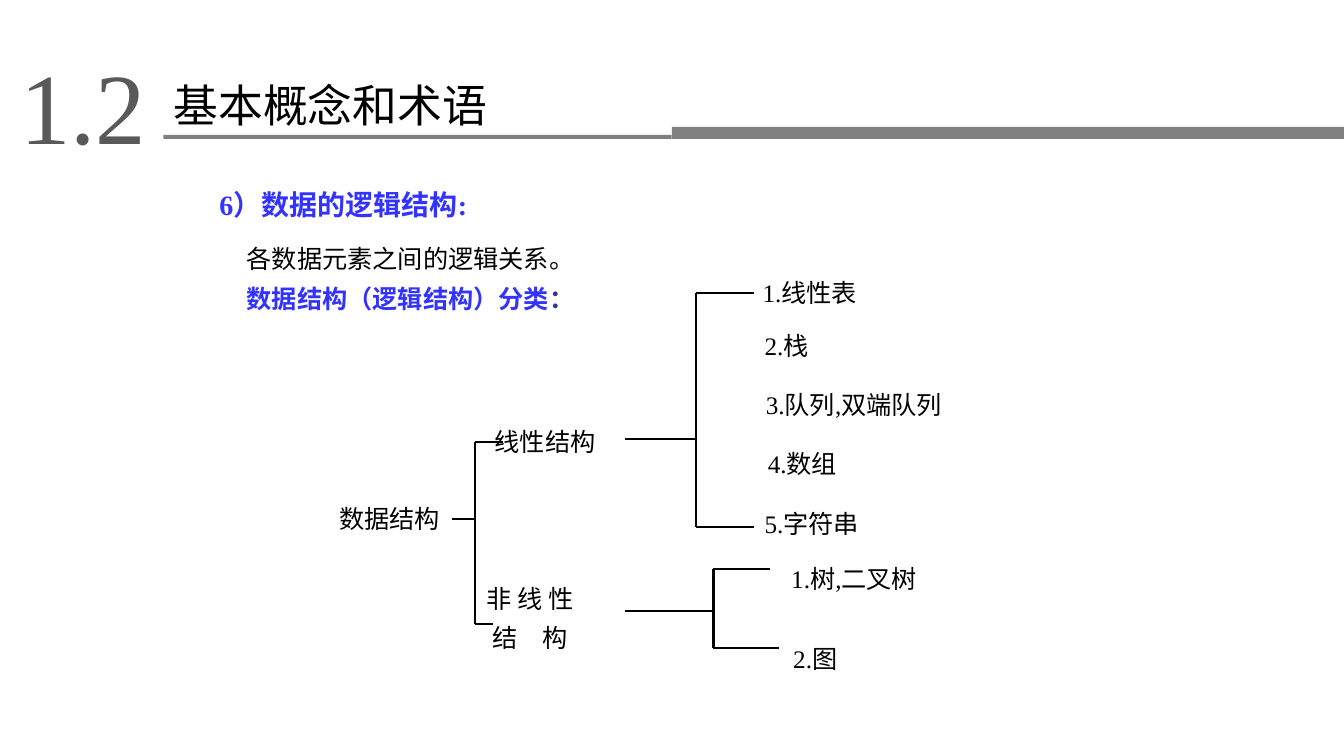
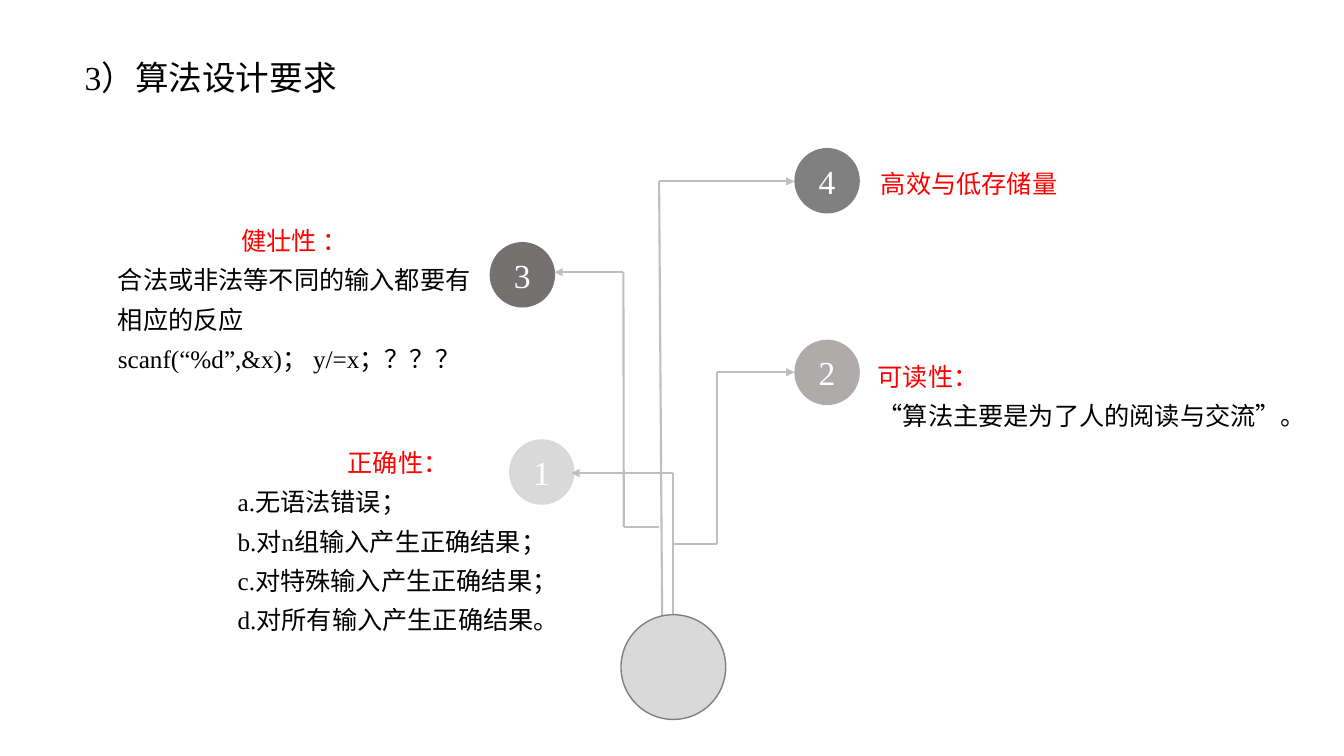
from dataclasses import dataclass
from itertools import pairwise

from lxml import etree
from pptx import Presentation
from pptx.dml.color import RGBColor
from pptx.enum.shapes import MSO_CONNECTOR, MSO_SHAPE
from pptx.enum.text import MSO_ANCHOR, MSO_AUTO_SIZE, PP_ALIGN
from pptx.oxml.ns import qn
from pptx.util import Cm, Pt

STRAIGHT = MSO_CONNECTOR.STRAIGHT
RECTANGLE, OVAL = MSO_SHAPE.RECTANGLE, MSO_SHAPE.OVAL
TOP, MIDDLE = MSO_ANCHOR.TOP, MSO_ANCHOR.MIDDLE
NO_FIT = MSO_AUTO_SIZE.NONE
LEFT, CENTER = PP_ALIGN.LEFT, PP_ALIGN.CENTER

FONT = "Times New Roman"
COLORS = {
    "ink": "000000",
    "blue": "3333FF",
    "navy": "333399",
    "red": "FF0000",
    "white": "FFFFFF",
    "number": "595959",
    "bar": "808080",
    "path": "BFBFBF",
    "pale": "D9D9D9",
    "warm": "AFABAB",
    "dark": "767171",
}
TITLE_ONLY = 5
LINE_SPACING = 1.3
BADGE_SIZE = 1.65
ROW_HEIGHT = 1.17


@dataclass
class Line:
    text: str
    color: str = "ink"
    bold: bool = False
    align: PP_ALIGN = LEFT
    tail: str = ""
    tail_color: str = "ink"


def rgb(name):
    return RGBColor.from_string(COLORS[name])


def write_lines(frame, lines, size, spacing):
    for index, line in enumerate(lines):
        para = frame.paragraphs[0] if index == 0 else frame.add_paragraph()
        para.alignment = line.align
        para.line_spacing = spacing
        para.font.name = FONT
        para.font.size = Pt(size)
        para.font.bold = line.bold
        para.font.color.rgb = rgb(line.color)
        para.add_run().text = line.text
        if line.tail:
            span = para.add_run()
            span.text = line.tail
            span.font.color.rgb = rgb(line.tail_color)


def add_text(page, box, lines, size=18, spacing=LINE_SPACING):
    frame = page.shapes.add_textbox(*map(Cm, box)).text_frame
    frame.word_wrap = True
    write_lines(frame, lines, size, spacing)


def add_filled(page, kind, box, color, outline=None):
    shape = page.shapes.add_shape(kind, *map(Cm, box))
    shape.shadow.inherit = False
    shape.fill.solid()
    shape.fill.fore_color.rgb = rgb(color)
    if outline:
        shape.line.color.rgb = rgb(outline)
        shape.line.width = Pt(1)
    else:
        shape.line.fill.background()
    return shape


def add_line(page, start, end, color, arrow=False):
    line = page.shapes.add_connector(STRAIGHT, *map(Cm, (*start, *end)))
    line.line.color.rgb = rgb(color)
    line.line.width = Pt(1.5)
    properties = line._element.spPr
    if arrow:
        etree.SubElement(properties.find(qn("a:ln")), qn("a:tailEnd"), type="triangle")
    etree.SubElement(properties, qn("a:effectLst"))


def add_page(deck, title, box, size):
    page = deck.slides.add_slide(deck.slide_layouts[TITLE_ONLY])
    holder = page.shapes.title
    holder.left, holder.top, holder.width, holder.height = map(Cm, box)
    frame = holder.text_frame
    frame.auto_size = NO_FIT
    frame.word_wrap = True
    frame.vertical_anchor = TOP
    write_lines(frame, [Line(title)], size, 1.0)
    return page


def add_section_band(page, number, left, top):
    add_text(page, (left, top, 4.04, 3.33),
             [Line(number, "number", align=CENTER)], 72, 1.0)
    add_filled(page, RECTANGLE, (left + 16.85, top + 2.23, 16.94, 0.3), "bar")
    add_filled(page, RECTANGLE, (left + 4.04, top + 2.43, 12.81, 0.1), "bar")


def add_bracket(page, entry, spine, tips):
    entry_x, entry_y = entry
    add_line(page, entry, (spine, entry_y), "ink")
    add_line(page, (spine, tips[0][1]), (spine, tips[-1][1]), "ink")
    for tip_x, tip_y in tips:
        add_line(page, (spine, tip_y), (tip_x, tip_y), "ink")


def add_structure_tree(page, left, top):
    brackets = [
        ((3.08, 6.48), 3.66, [(4.37, 4.53), (4.12, 9.12)]),
        ((7.45, 4.47), 9.25, [(10.7, 0.79), (10.7, 6.68)]),
        ((7.45, 8.79), 9.68, [(11.11, 7.73), (11.33, 9.73)]),
    ]
    labels = [
        ("数据结构", 0, 5.74),
        ("线性结构", 3.92, 3.79),
        ("1.线性表", 10.67, 0.03),
        ("2.栈", 10.72, 1.38),
        ("3.队列,双端队列", 10.75, 2.85),
        ("4.数组", 10.8, 4.35),
        ("5.字符串", 10.72, 5.85),
        ("1.树,二叉树", 11.39, 7.24),
        ("2.图", 11.44, 9.25),
    ]
    for (entry_x, entry_y), spine, tips in brackets:
        add_bracket(page, (left + entry_x, top + entry_y), left + spine,
                    [(left + x, top + y) for x, y in tips])
    for text, x, y in labels:
        width = 3.2 if x < 10 else 6.2
        add_text(page, (left + x, top + y, width, ROW_HEIGHT), [Line(text)])
    add_text(page, (left + 3.54, top + 7.75, 3.05, 2 * ROW_HEIGHT),
             [Line("非 线 性", align=CENTER), Line("结　构", align=CENTER)])


def add_badge(page, number, left, top, color):
    badge = add_filled(page, OVAL, (left, top, BADGE_SIZE, BADGE_SIZE), color)
    frame = badge.text_frame
    frame.vertical_anchor = MIDDLE
    write_lines(frame, [Line(number, "white", align=CENTER)], 24, 1.0)


def add_requirement_tree(page, left, top):
    paths = [
        [(4.63, 11.76), (4.63, 8.19), (2.06, 8.19)],
        [(4.64, 9.97), (5.74, 9.97), (5.74, 5.65), (7.68, 5.65)],
        [(4.27, 9.55), (3.38, 9.55), (3.37, 3.13), (1.63, 3.13)],
        [(4.35, 12.12), (4.27, 0.84), (7.68, 0.84)],
    ]
    badges = [
        ("1", 0.49, 7.34, "pale"),
        ("2", 7.68, 4.83, "warm"),
        ("3", 0, 2.37, "dark"),
        ("4", 7.68, 0, "bar"),
    ]
    for number, x, y, color in badges:
        add_badge(page, number, left + x, top + y, color)
    for path in paths:
        points = [(left + x, top + y) for x, y in path]
        for start, end in pairwise(points):
            add_line(page, start, end, "path", arrow=end == points[-1])
    add_filled(page, OVAL, (left + 3.31, top + 11.76, 2.64, 2.64), "pale", "bar")


def build_structure_page(deck):
    page = add_page(deck, "基本概念和术语", (4.12, 1.83, 9.12, 1.63), 32)
    add_section_band(page, "1.2", 0.08, 0.97)
    add_text(page, (5.28, 4.34, 7.95, 1.27),
             [Line("6）数据的逻辑结构:", "blue", True)], 20)
    add_text(page, (5.97, 5.79, 10.06, 2.16), [
        Line("各数据元素之间的逻辑关系。"),
        Line("数据结构（逻辑结构）分类", "blue", True, tail="：", tail_color="navy"),
    ])
    add_structure_tree(page, 8.3, 6.6)


def build_requirements_page(deck):
    page = add_page(deck, "3）算法设计要求", (1.88, 1.3, 7.32, 1.27), 24)
    add_requirement_tree(page, 12.34, 3.73)
    add_text(page, (5.74, 10.92, 8.59, 5.16), [
        Line("正确性：", "red", align=CENTER),
        Line("a.无语法错误；"),
        Line("b.对n组输入产生正确结果；"),
        Line("c.对特殊输入产生正确结果；"),
        Line("d.对所有输入产生正确结果。"),
    ])
    add_text(page, (2.72, 5.33, 9.42, 4.17), [
        Line("健壮性 ：", "red", align=CENTER),
        Line("合法或非法等不同的输入都要有"),
        Line("相应的反应"),
        Line("scanf(“%d”,&x)； y/=x；？？？"),
    ])
    add_text(page, (21.95, 3.89, 10.49, ROW_HEIGHT), [Line("高效与低存储量", "red")])
    add_text(page, (21.87, 8.74, 11.38, 3.15), [
        Line("可读性：", "red"),
        Line("“算法主要是为了人的阅读与交流”。"),
    ])


def main():
    deck = Presentation()
    deck.slide_width, deck.slide_height = Cm(33.87), Cm(19.05)
    build_structure_page(deck)
    build_requirements_page(deck)
    deck.save("out.pptx")


if __name__ == "__main__":
    main()
